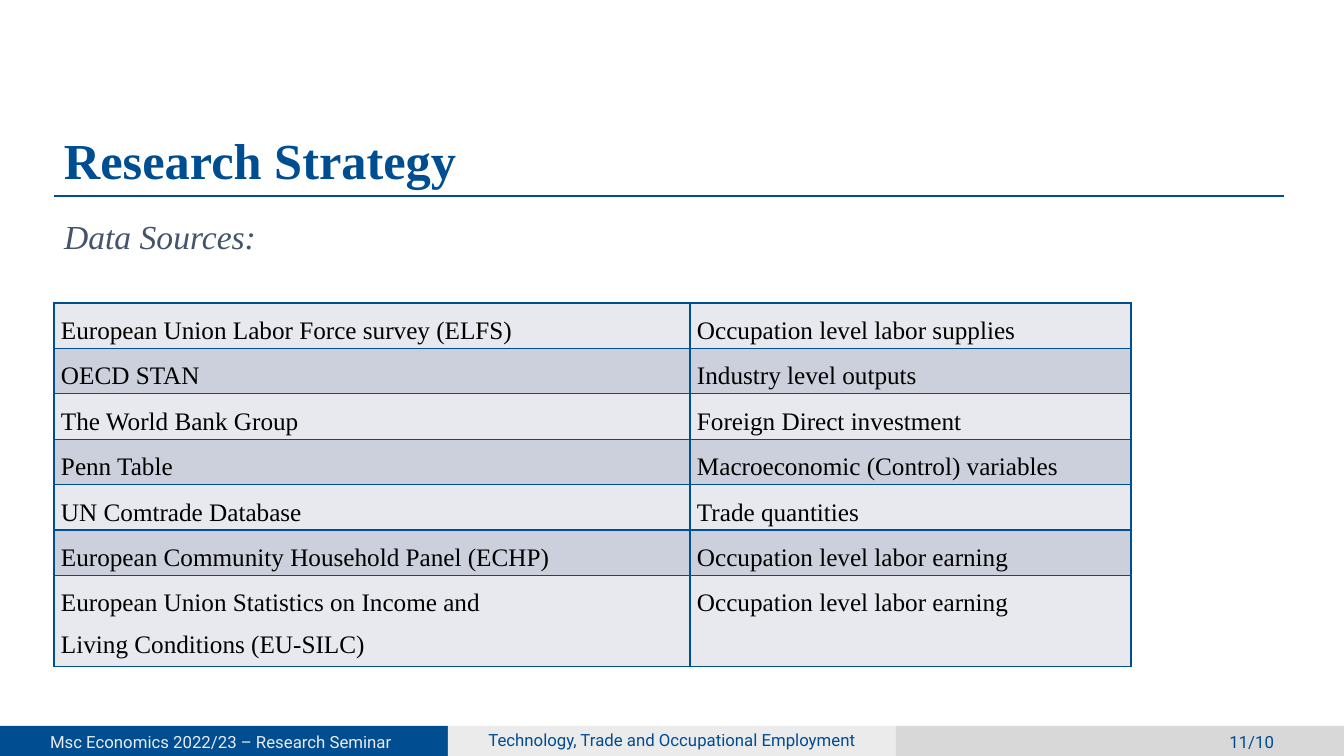
from lxml import etree
from pptx import Presentation
from pptx.dml.color import RGBColor
from pptx.enum.shapes import MSO_CONNECTOR, MSO_SHAPE
from pptx.enum.text import MSO_ANCHOR, PP_ALIGN
from pptx.oxml.ns import qn
from pptx.util import Pt

LINE, RECT = MSO_CONNECTOR.STRAIGHT, MSO_SHAPE.RECTANGLE
TOP, BOTTOM = MSO_ANCHOR.TOP, MSO_ANCHOR.BOTTOM
LEFT, CENTER, RIGHT, JUST = PP_ALIGN.LEFT, PP_ALIGN.CENTER, PP_ALIGN.RIGHT, PP_ALIGN.JUSTIFY

THEME = {
    "title": "004E92", "blue": "004C92", "navy": "004D92", "slate": "44546A",
    "black": "000000", "pale": "EBEBEB", "grey": "D8D8D8",
    "bands": ("E7E9EE", "CCD0DC"),
    "serif": "Times New Roman", "sans": "Roboto",
    "big": 36, "mid": 24, "body": 18, "small": 12,
}
SCALE = 914400 / 100.8


def px(*nums):
    return [round(n * SCALE) for n in nums]


def write(frame, text, size, color, font=THEME["serif"], align=LEFT, anchor=TOP,
          bold=False, italic=False, space=1.0, inset=(10, 5, 10, 5)):
    frame.word_wrap = True
    frame.vertical_anchor = anchor
    (frame.margin_left, frame.margin_top,
     frame.margin_right, frame.margin_bottom) = px(*inset)
    frame.text = text
    for para in frame.paragraphs:
        para.alignment = align
        para.line_spacing = space
        face = para.font if not para.runs else para.runs[0].font
        face.name, face.size = font, Pt(size)
        face.bold, face.italic = bold, italic
        face.color.rgb = RGBColor.from_string(color)


deck = Presentation()
deck.slide_width, deck.slide_height = px(1344, 756)
slide = deck.slides.add_slide(deck.slide_layouts[6])
shapes = slide.shapes

# Footer bands
for i, color in enumerate((THEME["navy"], THEME["pale"], THEME["grey"])):
    band = shapes.add_shape(RECT, *px(448 * i, 726, 448, 30))
    band.shadow.inherit = False
    band.fill.solid()
    band.fill.fore_color.rgb = RGBColor.from_string(color)
    band.line.fill.background()

# Footer texts
footer = (
    ("Msc Economics 2022/23 – Research Seminar ", -1, 727, 448, THEME["pale"], CENTER),
    ("Technology, Trade and Occupational Employment", 448, 725, 448, THEME["blue"], CENTER),
    ("11/10", 896, 727, 388, THEME["blue"], RIGHT),
)
for text, x, y, w, color, align in footer:
    box = shapes.add_textbox(*px(x, y, w, 30))
    write(box.text_frame, text, THEME["small"], color, font=THEME["sans"], align=align)

# Title, rule and subtitle
rule = shapes.add_connector(LINE, *px(54, 196, 1284, 196))
rule.line.color.rgb = RGBColor.from_string(THEME["blue"])
rule.line.width = Pt(1.5)
etree.SubElement(rule._element.spPr, qn("a:effectLst"))

title = shapes.add_textbox(*px(54, 92, 1230, 103))
write(title.text_frame, "Research Strategy", THEME["big"], THEME["title"],
      anchor=BOTTOM, bold=True, space=0.9)
sub = shapes.add_textbox(*px(54, 211, 755, 509))
write(sub.text_frame, "Data Sources:", THEME["mid"], THEME["slate"], italic=True)

# Table of data sources
rows = (
    ("European Union Labor Force survey (ELFS)", "Occupation level labor supplies"),
    ("OECD STAN", "Industry level outputs"),
    ("The World Bank Group", "Foreign Direct investment"),
    ("Penn Table", "Macroeconomic (Control) variables"),
    ("UN Comtrade Database", "Trade quantities"),
    ("European Community Household Panel (ECHP)", "Occupation level labor earning"),
    ("European Union Statistics on Income and \nLiving Conditions (EU-SILC)",
     "Occupation level labor earning"),
)
grid = shapes.add_table(len(rows), 2, *px(54, 303, 1077, 336)).table
for col, w in zip(grid.columns, px(636, 441)):
    col.width = w
for r, row in enumerate(rows):
    grid.rows[r].height = px(42 * (1 + row[0].count("\n")))[0]
    for c, text in enumerate(row):
        cell = grid.cell(r, c)
        write(cell.text_frame, text, THEME["body"], THEME["black"], align=JUST, space=1.5)
        (cell.margin_left, cell.margin_top,
         cell.margin_right, cell.margin_bottom) = px(7, 0, 7, 0)
        props = cell._tc.get_or_add_tcPr()
        for side in ("lnL", "lnR", "lnT", "lnB"):
            edge = etree.SubElement(props, qn("a:" + side), w=str(Pt(1)))
            fill = etree.SubElement(edge, qn("a:solidFill"))
            etree.SubElement(fill, qn("a:srgbClr"), val=THEME["title"])
        cell.fill.solid()
        cell.fill.fore_color.rgb = RGBColor.from_string(THEME["bands"][r % 2])

deck.save("out.pptx")
